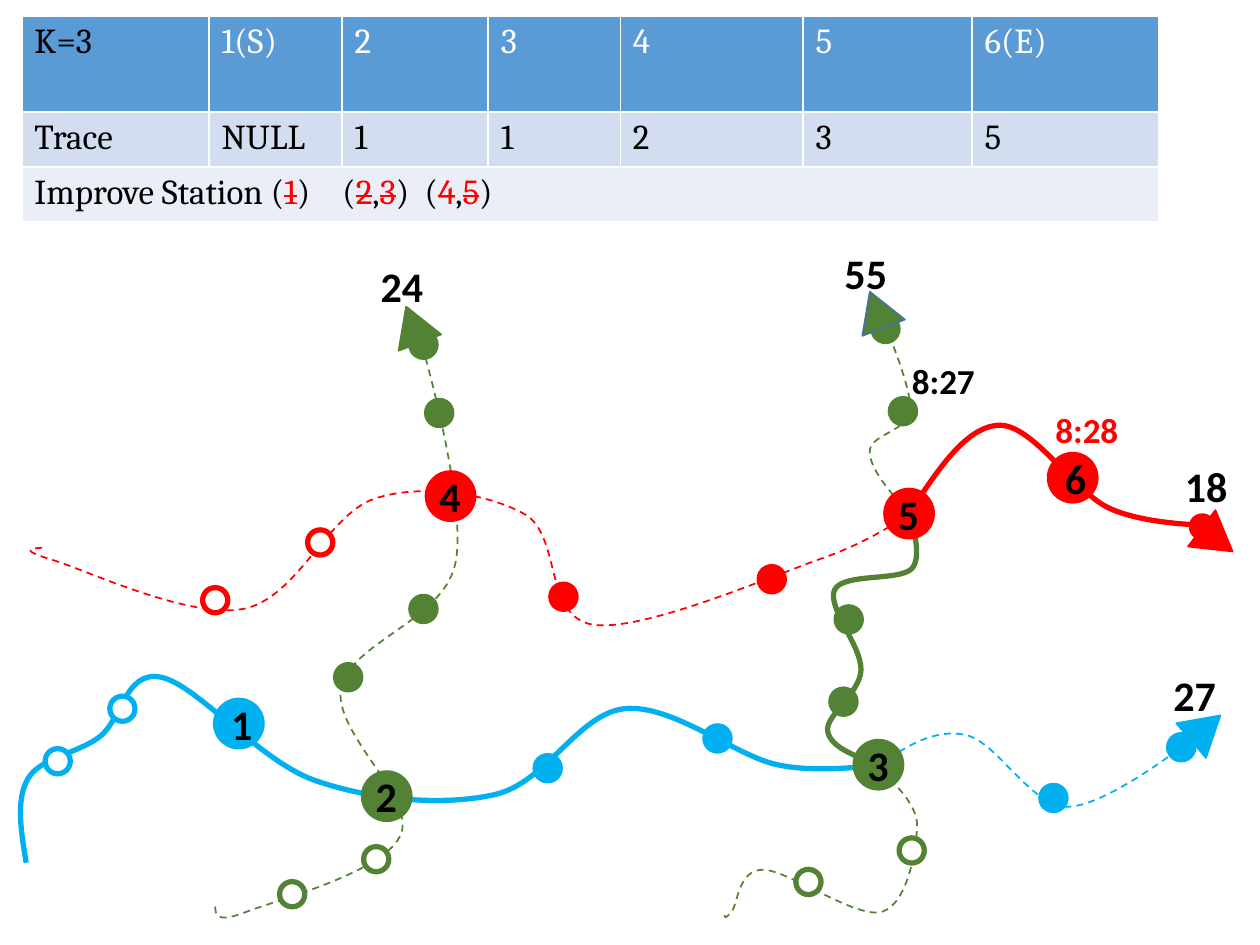
import pptx
import pptx.util
import pptx.dml.color
import pptx.enum.dml
import pptx.enum.shapes
import pptx.enum.text
import pptx.oxml
import pptx.oxml.ns

Pt = pptx.util.Pt
SHAPES = pptx.enum.shapes.MSO_SHAPE
COLORS = {
    "blue": "00B0F0", "green": "548235", "red": "FF0000",
    "white": "FFFFFF", "black": "000000", "edge": "43739E",
    "head": "5B9BD5", "band": "D2DEEF", "pale": "EAEFF7",
}


def tint(name):
    return pptx.dml.color.RGBColor.from_string(COLORS[name])


def node(owner, tag, **attrs):
    """Append a DrawingML child to owner and return it."""
    child = pptx.oxml.parse_xml(f"<a:{tag} {pptx.oxml.ns.nsdecls('a')}/>")
    for key, value in attrs.items():
        child.set(key, str(value))
    owner.append(child)
    return child


def bend(knots):
    """Give three Bezier points for each step of a smooth line through knots."""
    points, last = [], len(knots) - 1

    def lean(at, sign):
        return tuple(mid + sign * (after - before) / 6 for before, mid, after
                     in zip(knots[at - 1], knots[at], knots[at + 1]))

    for at in range(last):
        close = lean(at + 1, -1) if at + 1 < last else knots[last]
        leave = lean(at, 1) if at else tuple(
            (a + b) / 2 for a, b in zip(knots[0], close))
        points += [leave, close, knots[at + 1]]
    return points


class Map:
    """Draws the route map; all lengths are in points."""
    font, serif = "Calibri", "Cambria"
    large, small = 26.6, 14.4
    thick, thin = 3, 1

    def __init__(self, slide):
        self.shapes = slide.shapes

    def run(self, para, text, size, color="black", bold=True, font=None, strike=False):
        run = para.add_run()
        run.text = text
        run.font.size, run.font.bold = Pt(size), bold
        run.font.name = font or self.font
        run.font.color.rgb = tint(color)
        if strike:
            run.font._element.set("strike", "sngStrike")

    def style(self, shape, fill, line, width):
        shape.shadow.inherit = False
        if fill:
            shape.fill.solid()
            shape.fill.fore_color.rgb = tint(fill)
        else:
            shape.fill.background()
        shape.line.color.rgb = tint(line)
        shape.line.width = Pt(width)

    def shape(self, kind, x, y, wide, high, fill, line, width):
        """Add a preset shape centred on x, y."""
        shape = self.shapes.add_shape(
            kind, Pt(x - wide / 2), Pt(y - high / 2), Pt(wide), Pt(high))
        self.style(shape, fill, line, width)
        return shape

    def dot(self, x, y, color, fill=None, size=small, width=thick):
        return self.shape(SHAPES.OVAL, x, y, size, size, fill or color, color, width)

    def stop(self, x, y, color, text, inside):
        """Add a large station, its number inside the shape or in a box over it."""
        shape = self.dot(x, y, color, size=self.large)
        if not inside:
            self.label(text, x, y, 27)
            return
        frame = shape.text_frame
        frame.margin_left = frame.margin_right = Pt(5)
        frame.margin_top = frame.margin_bottom = Pt(3)
        frame.vertical_anchor = pptx.enum.text.MSO_ANCHOR.MIDDLE
        para = frame.paragraphs[0]
        para.alignment = pptx.enum.text.PP_ALIGN.CENTER
        self.run(para, text, 24)

    def tip(self, x, y, turn, color, line=None):
        shape = self.shape(SHAPES.ISOSCELES_TRIANGLE, x, y, 26, 22,
                           color, line or color, self.thin)
        shape.rotation = turn

    def curve(self, color, dash, knots):
        """Draw a smooth open line through knots."""
        pen = self.shapes.build_freeform(*map(Pt, knots[0]))
        pen.add_line_segments([(Pt(x), Pt(y)) for x, y in bend(knots)], close=False)
        shape = pen.convert_to_shape()
        track = shape._element.xpath(".//a:path")[0]
        steps = list(track)[1:]
        for at in range(0, len(steps), 3):
            arc = node(track, "cubicBezTo")
            for step in steps[at:at + 3]:
                arc.append(step[0])
                track.remove(step)
        self.style(shape, None, color, self.thin if dash else self.thick)
        if dash:
            shape.line.dash_style = pptx.enum.dml.MSO_LINE.DASH

    def label(self, text, x, y, wide, high=36, size=24, color="black"):
        """Add a text box centred on x, y."""
        box = self.shapes.add_textbox(
            Pt(x - wide / 2), Pt(y - high / 2), Pt(wide), Pt(high))
        box.text_frame.word_wrap = False
        self.run(box.text_frame.paragraphs[0], text, size, color)

    def cell(self, cell, fill, runs, tabs=()):
        cell.fill.solid()
        cell.fill.fore_color.rgb = tint(fill)
        para = cell.text_frame.paragraphs[0]
        if tabs:
            stops = node(para._p.get_or_add_pPr(), "tabLst")
            for tab in tabs:
                node(stops, "tab", pos=Pt(tab), algn="l")
        for text, color, strike in runs:
            self.run(para, text, 20, color, False, self.serif, strike)

    def table(self, x, y, wides, highs, rows, foot, tabs):
        """Add a header and body rows, then one merged foot row."""
        table = self.shapes.add_table(len(highs), len(wides), Pt(x), Pt(y),
                                      Pt(sum(wides)), Pt(sum(highs))).table
        for col, wide in zip(table.columns, wides):
            col.width = Pt(wide)
        for row, high in zip(table.rows, highs):
            row.height = Pt(high)
        for r, row in enumerate(rows):
            for c, text in enumerate(row):
                color = "white" if r == 0 and c else "black"
                self.cell(table.cell(r, c), "band" if r else "head",
                          [(text, color, False)])
        last = len(rows)
        table.cell(last, 0).merge(table.cell(last, len(wides) - 1))
        self.cell(table.cell(last, 0), "pale", foot, tabs)


deck = pptx.Presentation()
deck.slide_width, deck.slide_height = Pt(720), Pt(540)
plan = Map(deck.slides.add_slide(deck.slide_layouts[6]))

one, two, three = (136.5, 413.5), (221, 455), (502, 437)
four, five, six = (257.5, 283.5), (519.5, 293.5), (613, 273)

plan.curve("blue", True, [three, (552, 420), (609, 461), (675, 427)])
plan.curve("green", False, [three, (473, 418), (492, 383), (477, 337), (521, 325), five])
plan.curve("red", False, [five, (571, 243), (633, 290), (687, 300)])
plan.curve("green", True, [five, (497, 258), (520, 235), (507, 189)])
plan.curve("green", True, [(414, 523), (418, 521), (436, 497), (504, 521),
                           (524, 471), (504, 441)])
plan.curve("blue", False, [(15, 493), (16, 445), (57, 421), (92, 387), (180, 446),
                           (283, 454), (357, 405), (444, 437), three])
plan.curve("red", True, [(24, 313), (30, 320), (139, 348), (214, 285), (300, 294),
                         (339, 357), (470, 319), five])
plan.curve("green", True, [(123, 518), (141, 521), (229, 477), (195, 393),
                           (260, 323), (242, 200)])

DOTS = {
    "blue": [(675, 427), (313, 439), (410, 422), (602, 456)],
    "green": [(199, 387), (242, 348), (482, 401), (485, 354),
              (242, 197), (506, 188), (251, 236), (516, 235)],
    "red": [(322, 341), (441, 331)],
}
RINGS = {
    "blue": [(70, 405), (33, 435)],
    "green": [(215, 491), (167, 511), (462, 504), (521, 486)],
    "red": [(123, 343), (183, 310)],
}
for spots, fill in [(DOTS, None), (RINGS, "white")]:
    for color, places in spots.items():
        for x, y in places:
            plan.dot(x, y, color, fill)
plan.dot(687, 301, "red", width=plan.thin)

lines = ["blue", "green", "green", "red", "red", "red"]
for text, spot, color in zip("123456", [one, two, three, four, five, six], lines):
    plan.stop(*spot, color, text, text in "16")

for text, x, y, turn, rise, *tints in [
        ("27", 689, 416, 49.3, 19, "blue"), ("18", 695.5, 308.5, 126.9, 31, "red"),
        ("24", 236, 185.5, 339.1, 22, "green"),
        ("55", 501, 177, 339.1, 21, "green", "edge")]:
    plan.tip(x, y, turn, *tints)
    plan.label(text, x - 6, y - rise, 39)
plan.label("8:27", 539.5, 218, 51, 32, 20)
plan.label("8:28", 621.5, 246, 51, 32, 20, "red")

done = "12345"
parts = ["Improve Station (", "1", ")\t(", "2", ",", "3", ")\t(", "4", ",", "5", ")"]
plan.table(
    12.5, 9, [107, 76, 83.5, 75.5, 104.5, 96.5, 107], [55, 31.3, 31.3],
    [["K=3", "1(S)", "2", "3", "4", "5", "6(E)"],
     ["Trace", "NULL", "1", "1", "2", "3", "5"]],
    [(part, "red" if part in done else "black", part in done) for part in parts],
    [176, 223])

deck.save("out.pptx")
